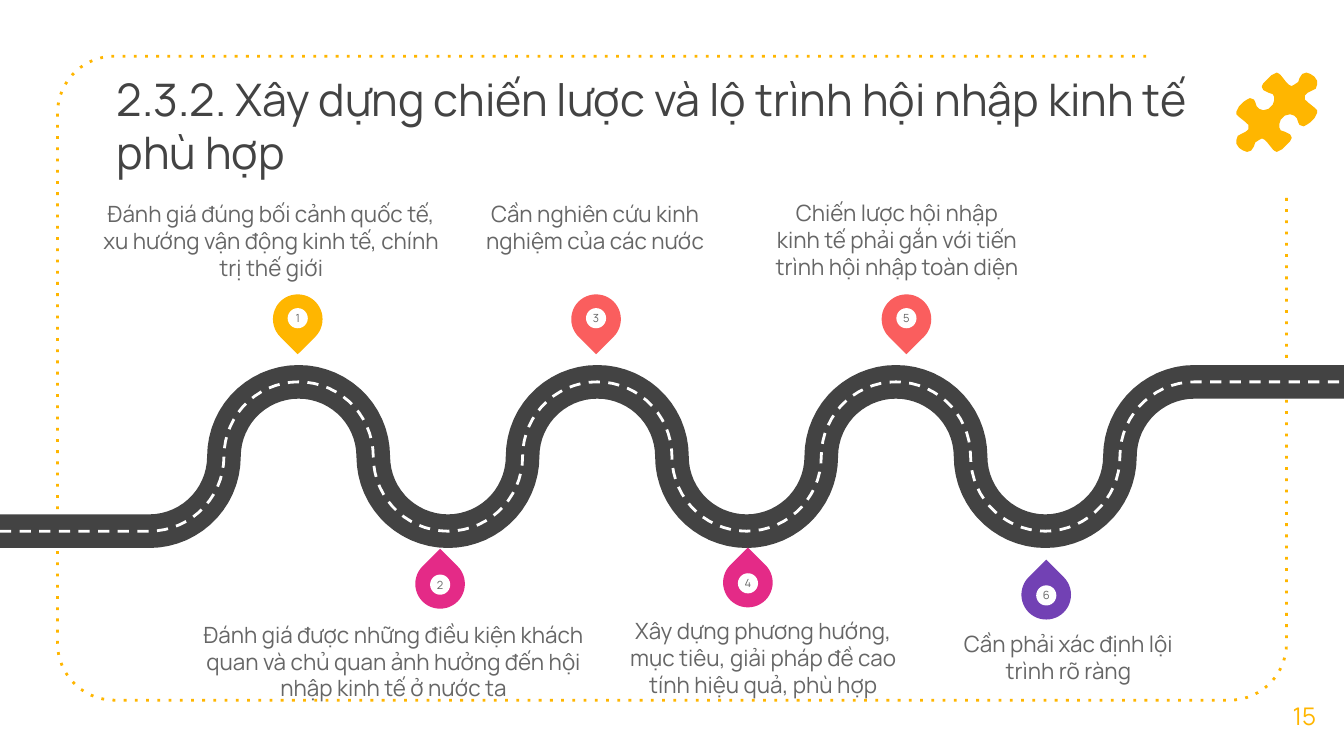
from math import cos, radians, sin

from lxml.etree import SubElement
from pptx import Presentation
from pptx.dml.color import RGBColor
from pptx.enum.shapes import MSO_SHAPE as SHAPE
from pptx.enum.text import MSO_ANCHOR as ANCHOR, PP_ALIGN as ALIGN
from pptx.oxml.ns import qn
from pptx.util import Pt

COLORS = {"yellow": "FFB600", "coral": "FA5E5E", "pink": "E42A87", "purple": "7241B4",
          "dark": "434343", "gray": "666666", "white": "FFFFFF"}
FONT = "Manrope"
PIN, DOT = 26.6, 10.8
STOPS = [
    ("1", "yellow", (146.2, 157.7), (55.4, 108.7, 180, 41.8),
     "Đánh giá đúng bối cảnh quốc tế, xu hướng vận động kinh tế, chính trị thế giới"),
    ("2", "pink", (222.5, 299.5), (108.7, 332.6, 204.5, 41.8),
     "Đánh giá được những điều kiện khách quan và chủ quan ảnh hưởng đến hội nhập kinh tế ở nước ta"),
    ("3", "coral", (306, 157.7), (248.4, 94.3, 141, 41.8),
     "Cần nghiên cứu kinh nghiệm của các nước"),
    ("4", "pink", (387.4, 298.8), (331.9, 330.5, 154, 41.8),
     "Xây dựng phương hướng, mục tiêu, giải pháp đề cao tính hiệu quả, phù hợp"),
    ("5", "coral", (472.3, 157.7), (414.7, 108, 131.8, 41.8),
     "Chiến lược hội nhập kinh tế phải gắn với tiến trình hội nhập toàn diện"),
    ("6", "purple", (547.2, 305.3), (504, 337.7, 136.8, 41.8),
     "Cần phải xác định lội trình rõ ràng"),
]
PUZZLE_HALF = [
    (30, 0), (26, 2), (22, 6), (20, 8), (19, 10), (19, 11), (20, 13), (22, 14), (24, 15),
    (27, 16), (28, 18), (28, 21), (27, 24), (24, 27), (20, 28), (17, 27), (15, 25), (14, 22),
    (13, 20), (10, 19), (8, 20), (5, 22), (2, 25), (0, 29), (0, 31), (2, 33), (7, 37), (9, 39),
    (9, 42), (7, 44), (3, 46), (1, 47), (0, 50), (0, 53), (2, 56), (5, 58), (8, 59), (11, 58),
    (13, 55), (14, 52), (17, 50), (19, 49), (21, 50), (23, 52), (27, 57), (28, 58)]


def rgb(name):
    """Return the named colour."""
    return RGBColor.from_string(COLORS[name])


def arc(cx, cy, radius, start, end):
    """Return points along an arc, with angles in degrees clockwise from the right."""
    steps = abs(end - start) // 6
    angles = [radians(start + (end - start) * i / steps) for i in range(steps + 1)]
    return [(cx + radius * cos(a), cy + radius * sin(a)) for a in angles]


def outline(s, points, close=False):
    """Draw a freeform without fill through the points."""
    pts = [(Pt(x), Pt(y)) for x, y in points]
    builder = s.shapes.build_freeform(*pts[0])
    builder.add_line_segments(pts[1:], close=close)
    sp = builder.convert_to_shape()
    sp.shadow.inherit = False
    sp.fill.background()
    return sp


def stroke(sp, color, width, dash=None):
    """Set the line of a shape."""
    sp.line.color.rgb = rgb(color)
    sp.line.width = Pt(width)
    if dash:
        SubElement(sp._element.spPr.find(qn("a:ln")), qn("a:prstDash"), val=dash)


def write(sp, text, size, color, anchor=ANCHOR.TOP, align=ALIGN.CENTER, inset=0):
    """Put one paragraph of text into a shape."""
    tf = sp.text_frame
    tf.word_wrap = True
    tf.vertical_anchor = anchor
    tf.margin_left = tf.margin_right = tf.margin_top = tf.margin_bottom = Pt(inset)
    p = tf.paragraphs[0]
    p.text, p.alignment = text, align
    p.font.name, p.font.size, p.font.color.rgb = FONT, Pt(size), rgb(color)


def add_text(s, box, *args, **kwargs):
    """Add a text box."""
    write(s.shapes.add_textbox(*map(Pt, box)), *args, **kwargs)


def add_solid(s, kind, box, color):
    """Add a filled preset shape without a line."""
    sp = s.shapes.add_shape(kind, *map(Pt, box))
    sp.shadow.inherit = False
    sp.fill.solid()
    sp.fill.fore_color.rgb = rgb(color)
    sp.line.fill.background()
    return sp


def add_frame(s, x, y, w, h, radius=30.5):
    """Draw the dotted frame, open at its top right corner."""
    right, bottom = x + w, y + h
    points = [(614, y)]
    points += arc(x + radius, y + radius, radius, 270, 180)
    points += arc(x + radius, bottom - radius, radius, 180, 90)
    points += arc(right - radius, bottom - radius, radius, 90, 0)
    points.append((right, 105))
    stroke(outline(s, points), "yellow", 1.5, "dot")


def add_road(s, x, y, w, h):
    """Draw the winding road with its dashed centre line."""
    radius, middle = h / 2, y + h / 2
    points = [(x, y + h)] + arc(x + h, middle, radius, 90, 0)
    for i in range(2, 8):
        points += arc(x + i * h, middle, radius, 180, 0 if i % 2 else 360)
    points += arc(x + 8 * h, middle, radius, 180, 270) + [(x + w, y)]
    stroke(outline(s, points), "dark", 18)
    stroke(outline(s, points), "white", 1.5, "dash")


def add_puzzle(s, x, y, w, h):
    """Draw the puzzle piece, whose second half is the first turned around."""
    points = PUZZLE_HALF + [(60 - a, 59 - b) for a, b in PUZZLE_HALF]
    sp = outline(s, [(x + a * w / 60, y + b * h / 59) for a, b in points], close=True)
    sp.fill.solid()
    sp.fill.fore_color.rgb = rgb("yellow")
    sp.line.fill.background()


def add_stop(s, number, color, pin, box, text):
    """Draw a numbered pin and its caption, above the road for odd numbers."""
    x, y = pin
    above = int(number) % 2 == 1
    drop = add_solid(s, SHAPE.TEAR, (x, y, PIN, PIN), color)
    drop.rotation = 135 if above else 315
    dot = add_solid(s, SHAPE.OVAL, (x + 7.9, y + (7.4 if above else 8.3), DOT, DOT), "white")
    write(dot, number, 6, "gray", ANCHOR.MIDDLE)
    add_text(s, box, text, 12, "gray", ANCHOR.BOTTOM if above else ANCHOR.TOP)


def main():
    """Build the slide."""
    prs = Presentation()
    prs.slide_width, prs.slide_height = Pt(720), Pt(405)
    s = prs.slides.add_slide(prs.slide_layouts[6])
    add_frame(s, 30.8, 30.1, 658.4, 345)
    add_text(s, (55.4, 31, 600, 67.7),
             "2.3.2. Xây dựng chiến lược và lộ trình hội nhập kinh tế phù hợp",
             24, "dark", align=ALIGN.LEFT, inset=7.2)
    add_text(s, (677.5, 361.7, 42.5, 43.2), "15", 13, "yellow", ANCHOR.MIDDLE, inset=7.2)
    add_road(s, 0, 204.6, 720, 80)
    add_puzzle(s, 662.4, 38.9, 43.2, 42.5)
    for stop in STOPS:
        add_stop(s, *stop)
    prs.save("out.pptx")


if __name__ == "__main__":
    main()
